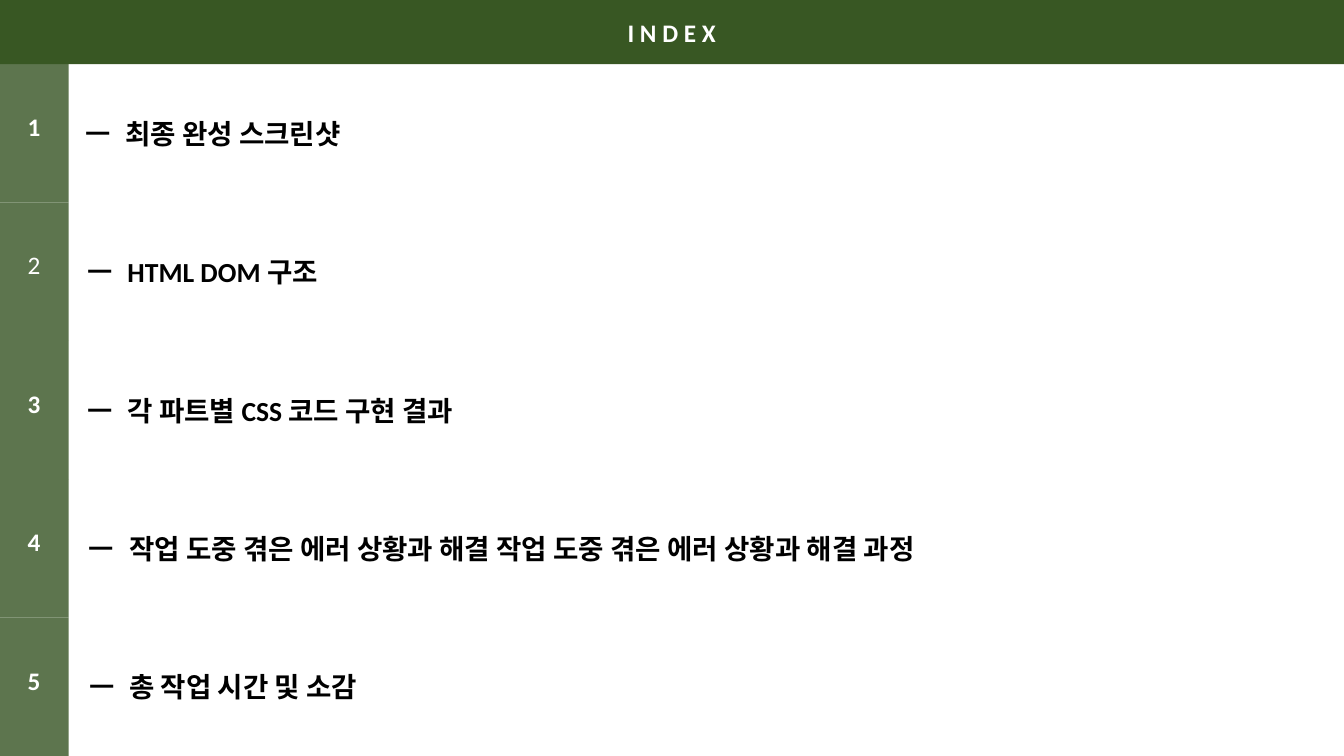
import pptx
import pptx.dml.color
import pptx.enum.shapes
import pptx.enum.text
import pptx.util
from dataclasses import dataclass

Pt = pptx.util.Pt
Align = pptx.enum.text.PP_ALIGN


@dataclass(frozen=True)
class Theme:
    font: str = "Calibri"
    header: str = "385723"
    number: str = "5D754E"
    paper: str = "FFFFFF"
    ink: str = "000000"
    title_size: int = 32
    number_size: int = 32
    topic_size: int = 35


theme = Theme()

SLIDE_WIDTH, SLIDE_HEIGHT = 1706.4, 959.76
HEADER_HEIGHT = 81.36
NUMBER_LEFT, NUMBER_WIDTH = -0.72, 87.84
DASH_INSET, DASH_INDENT = 22.3, 51
NUMBER_LIFT = 20.7

topics = [
    # text, left, width
    ("최종 완성 스크린샷", 85.68, 1535.76),
    ("HTML DOM 구조", 88.56, 1535.04),
    ("각 파트별 CSS 코드 구현 결과", 88.56, 1534.32),
    ("작업 도중 겪은 에러 상황과 해결 작업 도중 겪은 에러 상황과 해결 과정", 90.72, 1521.36),
    ("총 작업 시간 및 소감", 90.72, 1534.32),
]
row_height = (SLIDE_HEIGHT - HEADER_HEIGHT) / len(topics)

deck = pptx.Presentation()
deck.slide_width, deck.slide_height = Pt(SLIDE_WIDTH), Pt(SLIDE_HEIGHT)
slide = deck.slides.add_slide(deck.slide_layouts[6])


def add_panel(left, top, width, height, fill, text, size, color, align, bold=True):
    """Add a borderless rectangle with one line of text and return it."""
    panel = slide.shapes.add_shape(
        pptx.enum.shapes.MSO_SHAPE.RECTANGLE, Pt(left), Pt(top), Pt(width), Pt(height))
    panel.shadow.inherit = False
    panel.fill.solid()
    panel.fill.fore_color.rgb = pptx.dml.color.RGBColor.from_string(fill)
    panel.line.fill.background()
    frame = panel.text_frame
    frame.word_wrap = True
    frame.vertical_anchor = pptx.enum.text.MSO_ANCHOR.MIDDLE
    frame.paragraphs[0].alignment = align
    run = frame.paragraphs[0].add_run()
    run.text = text
    run.font.name = theme.font
    run.font.size = Pt(size)
    run.font.bold = bold
    run.font.color.rgb = pptx.dml.color.RGBColor.from_string(color)
    return panel


for row, (topic, left, width) in enumerate(topics):
    top = HEADER_HEIGHT + row * row_height
    topic_panel = add_panel(left, top, width, row_height, theme.paper, f"ㅡ\t{topic}",
                            theme.topic_size, theme.ink, Align.LEFT)
    topic_panel.text_frame.margin_left = Pt(DASH_INSET)
    hanging = topic_panel.text_frame.paragraphs[0]._p.get_or_add_pPr()
    hanging.set("marL", str(Pt(DASH_INDENT)))
    hanging.set("indent", str(-Pt(DASH_INDENT)))

    number_panel = add_panel(NUMBER_LEFT, top, NUMBER_WIDTH, row_height, theme.number,
                             str(row + 1), theme.number_size, theme.paper, Align.CENTER,
                             bold=row != 1)
    number_panel.text_frame.margin_bottom = Pt(NUMBER_LIFT)

add_panel(NUMBER_LEFT, 0, SLIDE_WIDTH - NUMBER_LEFT, HEADER_HEIGHT, theme.header,
          "I N D E X", theme.title_size, theme.paper, Align.CENTER)

deck.save("out.pptx")
